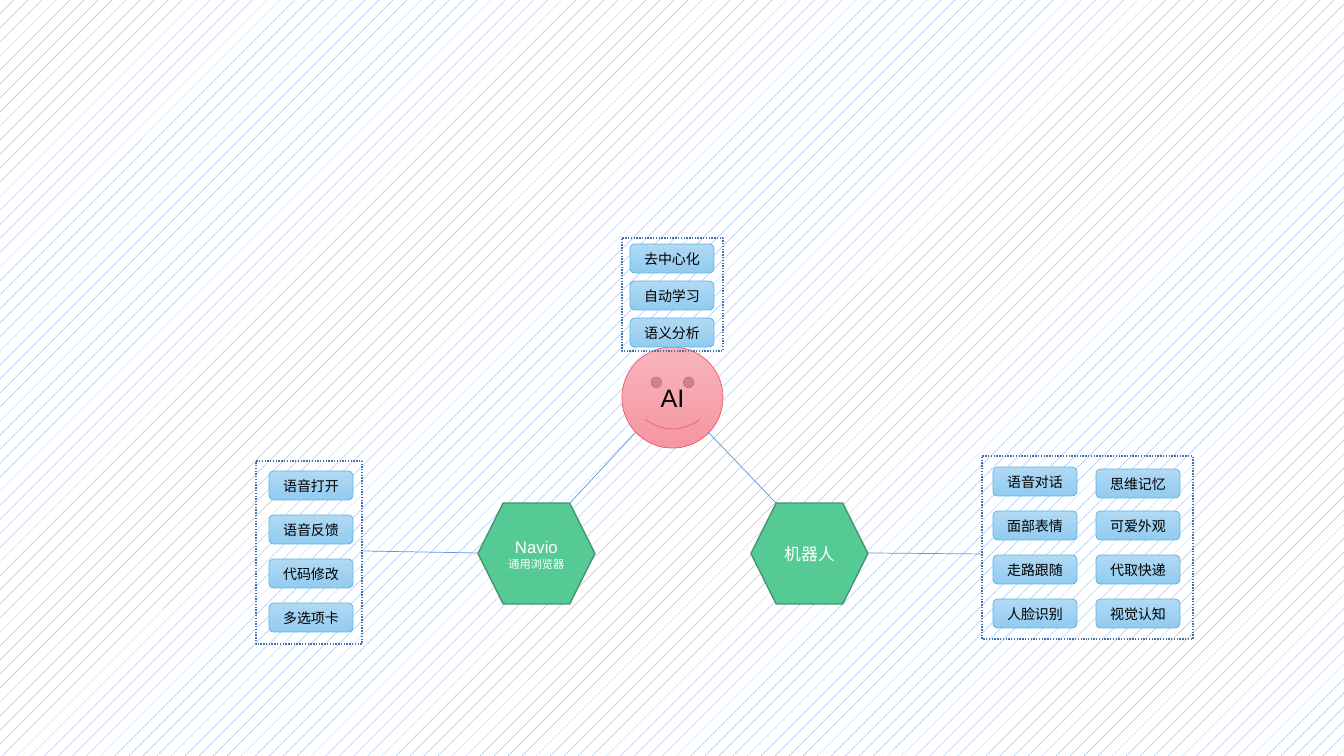
"""Build a mind map slide linking AI to a browser and a robot."""
from lxml.etree import SubElement
from pptx import Presentation
from pptx.dml.color import RGBColor as RGB
from pptx.enum.dml import MSO_LINE as DASH, MSO_PATTERN as PAT
from pptx.enum.shapes import MSO_CONNECTOR as LINK, MSO_SHAPE as KIND
from pptx.enum.text import MSO_ANCHOR as ANCHOR, PP_ALIGN as ALIGN
from pptx.oxml.ns import qn
from pptx.util import Pt

SCALE = 914400 / 100.8
WHITE = RGB(0xFF, 0xFF, 0xFF)
BLACK = RGB(0x00, 0x00, 0x00)
BLUE = RGB(0x60, 0x96, 0xE6)
NAVY = RGB(0x47, 0x6F, 0xAA)
GREEN = RGB(0x56, 0xCA, 0x95)
PINE = RGB(0x40, 0x95, 0x6E)
SKY = RGB(0xB1, 0xD9, 0xF3)
AZURE = RGB(0x92, 0xCC, 0xF1)
CYAN = RGB(0x58, 0xB6, 0xE5)
PINK = RGB(0xF7, 0xB5, 0xBC)
ROSE = RGB(0xF6, 0x96, 0xA1)
RED = RGB(0xEC, 0x5F, 0x74)

HEX = {"kind": KIND.HEXAGON, "fill": [GREEN], "edge": PINE, "width": 1, "ink": WHITE}
CHIP = {"kind": KIND.ROUNDED_RECTANGLE, "fill": [SKY, AZURE], "edge": CYAN, "width": 0.5, "ink": BLACK}
FACE = {"kind": KIND.SMILEY_FACE, "fill": [PINK, ROSE], "edge": RED, "width": 0.5, "ink": BLACK}
FRAME = {"kind": KIND.RECTANGLE, "fill": [], "edge": NAVY, "width": 1, "dash": DASH.ROUND_DOT}
FIT = {"margin_left": 0, "margin_right": 0, "vertical_anchor": ANCHOR.MIDDLE, "word_wrap": True}


def px(*nums):
    return [round(num * SCALE) for num in nums]


def put(look, box, *lines):
    shape = slide.shapes.add_shape(look["kind"], *px(*box))
    shape.shadow.inherit = False
    fill = shape.fill
    if len(look["fill"]) == 2:
        fill.gradient()
        fill.gradient_angle = 270
        for stop, tint in zip(fill.gradient_stops, look["fill"]):
            stop.color.rgb = tint
    elif look["fill"]:
        fill.solid()
        fill.fore_color.rgb = look["fill"][0]
    else:
        fill.background()
    shape.line.color.rgb = look["edge"]
    shape.line.width = Pt(look["width"])
    if "dash" in look:
        shape.line.dash_style = look["dash"]
    frame = shape.text_frame
    for name, value in FIT.items():
        setattr(frame, name, value)
    for at, (text, size) in enumerate(lines):
        para = frame.add_paragraph() if at else frame.paragraphs[0]
        para.alignment = ALIGN.CENTER
        run = para.add_run()
        run.text = text
        for name, value in {"name": "Arial", "size": Pt(size)}.items():
            setattr(run.font, name, value)
        run.font.color.rgb = look["ink"]


deck = Presentation()
deck.slide_width, deck.slide_height = px(1344, 756)
slide = deck.slides.add_slide(deck.slide_layouts[6])
back = slide.background.fill
back.patterned()
back.pattern = PAT.PERCENT_5
back.fore_color.rgb = BLUE
back.back_color.rgb = WHITE

put(HEX, (478, 503, 117, 101), ("Navio", 12), ("通用浏览器", 8))
put(HEX, (751, 503, 117, 101), ("机器人", 12))
put(FACE, (622, 347, 101, 101), ("AI", 18))

for ends in [(570, 503, 636, 432), (776, 503, 708, 432),
             (363, 551, 478, 553), (868, 553, 983, 554)]:
    link = slide.shapes.add_connector(LINK.STRAIGHT, *px(*ends))
    link.line.color.rgb = BLUE
    link.line.width = Pt(0.5)
    SubElement(link._element.spPr, qn("a:effectLst"))

groups = [
    (269, 471, 44, ["语音打开", "语音反馈", "代码修改", "多选项卡"]),
    (993, 467, 44, ["语音对话", "面部表情", "走路跟随", "人脸识别"]),
    (1096, 469, 44, ["思维记忆"]),
    (1096, 511, 44, ["可爱外观", "代取快递", "视觉认知"]),
    (630, 244, 37, ["去中心化", "自动学习", "语义分析"]),
]
for left, top, step, words in groups:
    for row, word in enumerate(words):
        put(CHIP, (left, top + row * step, 84, 29), (word, 10))

for box in [(256, 461, 106, 183), (982, 456, 211, 183), (622, 238, 101, 113)]:
    put(FRAME, box)

deck.save("out.pptx")
